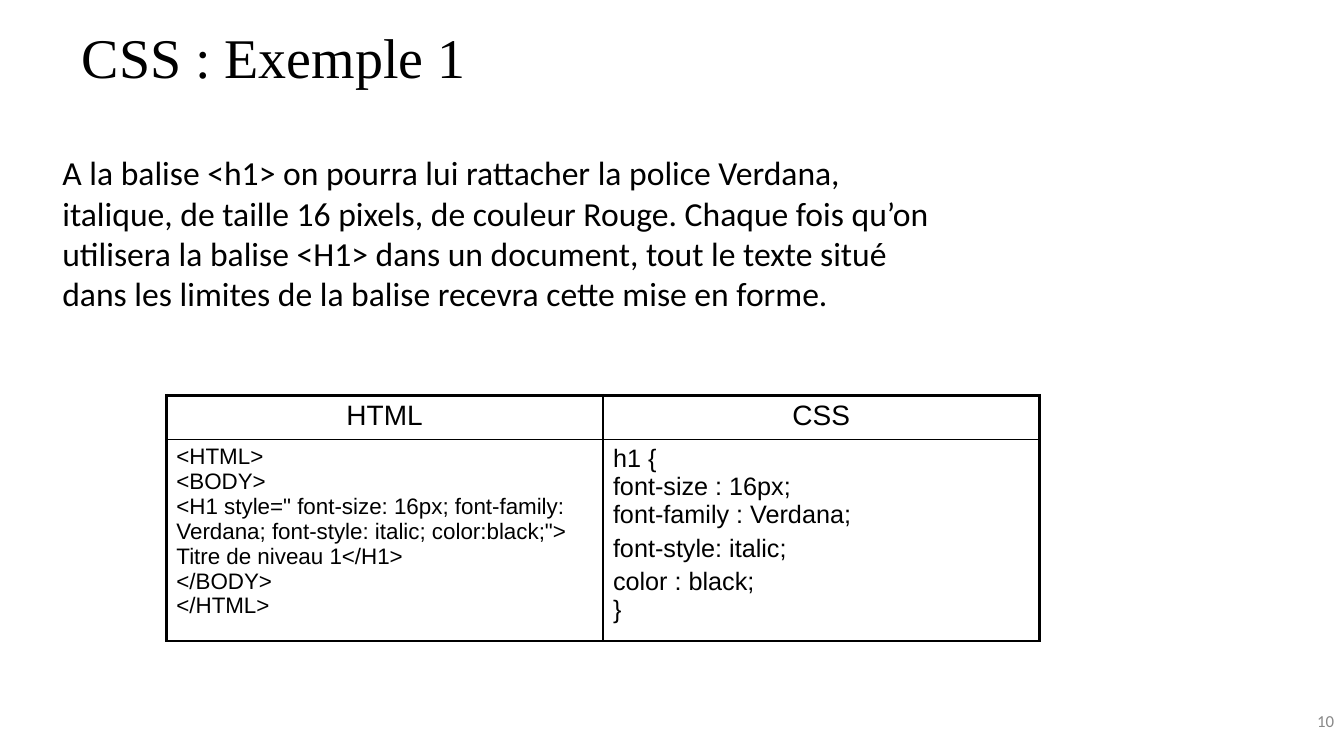
from copy import deepcopy
from dataclasses import dataclass

from lxml.etree import SubElement
from pptx import Presentation
from pptx.dml.color import RGBColor
from pptx.enum.text import MSO_ANCHOR, MSO_AUTO_SIZE, PP_ALIGN
from pptx.oxml.ns import qn
from pptx.util import Inches, Pt


@dataclass(frozen=True)
class Theme:
    black: str = "000000"
    gray: str = "888888"
    title_font: str = "Times New Roman"
    body_font: str = "Calibri"
    table_font: str = "Arial"
    title_size: int = 40
    body_size: int = 24
    header_size: int = 20
    css_size: int = 18
    html_size: int = 16
    number_size: int = 12
    outer_line: float = 2.25
    inner_line: float = 1


class SlideBuilder:
    def __init__(self, deck, theme):
        self.theme = theme
        self.slide = deck.slides.add_slide(deck.slide_layouts[5])

    def fill_text(self, frame, texts, font, size, color, align=PP_ALIGN.LEFT, gaps=()):
        """Fill a text frame; a newline inside a text is a line break."""
        font_format = {"name": font, "size": Pt(size), "bold": False}
        for index, text in enumerate(texts):
            para = frame.add_paragraph() if index else frame.paragraphs[0]
            para.text = text
            para.alignment = align
            para.space_before = Pt(gaps[index] if gaps else 0)
            for span in para.runs:
                for name, value in font_format.items():
                    setattr(span.font, name, value)
                span.font.color.rgb = RGBColor.from_string(color)
            # Line breaks take the size of the text around them
            for line_break in para._p.findall(qn("a:br")):
                line_break.append(deepcopy(para.runs[0]._r.rPr))

    def frame_text(self, box, place, texts, style, anchor=MSO_ANCHOR.TOP, top_inset=0.05):
        box.left, box.top, box.width, box.height = map(Inches, place)
        frame_format = {
            "word_wrap": True,
            "auto_size": MSO_AUTO_SIZE.NONE,
            "vertical_anchor": anchor,
            "margin_left": Inches(0.1),
            "margin_right": Inches(0.1),
            "margin_top": Inches(top_inset),
            "margin_bottom": Inches(0.05),
        }
        for name, value in frame_format.items():
            setattr(box.text_frame, name, value)
        self.fill_text(box.text_frame, texts, **style)

    def title(self, place, text):
        theme = self.theme
        style = {"font": theme.title_font, "size": theme.title_size,
                 "color": theme.black, "align": PP_ALIGN.CENTER}
        self.frame_text(self.slide.shapes.title, place, [text], style)

    def text(self, place, texts, size, color, align=PP_ALIGN.LEFT, **layout):
        box = self.slide.shapes.add_textbox(*map(Inches, place))
        style = {"font": self.theme.body_font, "size": size, "color": color, "align": align}
        self.frame_text(box, place, texts, style, **layout)

    def border(self, cell, edge, width):
        line = SubElement(cell._tc.get_or_add_tcPr(), qn(f"a:{edge}"), w=str(Pt(width)))
        fill = SubElement(line, qn("a:solidFill"))
        SubElement(fill, qn("a:srgbClr"), val=self.theme.black)

    def table(self, place, row_heights, rows):
        theme = self.theme
        row_count, column_count = len(rows), len(rows[0])
        frame = self.slide.shapes.add_table(row_count, column_count, *map(Inches, place))
        table = frame.table
        table.first_row = table.horz_banding = False
        for row, height in zip(table.rows, row_heights):
            row.height = Inches(height)
        for r, row in enumerate(rows):
            for c, content in enumerate(row):
                cell = table.cell(r, c)
                self.fill_text(cell.text_frame, font=theme.table_font, color=theme.black,
                               **content)
                # Heavy frame outside, thin lines inside
                outer = {"lnL": c == 0, "lnR": c == column_count - 1,
                         "lnT": r == 0, "lnB": r == row_count - 1}
                for edge, is_outer in outer.items():
                    self.border(cell, edge, theme.outer_line if is_outer else theme.inner_line)
                cell.fill.background()


HTML_CODE = """<HTML>
<BODY>
<H1 style=" font-size: 16px; font-family: Verdana; font-style: italic; color:black;"> Titre de niveau 1</H1>
</BODY>
</HTML>"""

CSS_CODE = [
    "h1 {\nfont-size : 16px;\nfont-family : Verdana;",
    "font-style: italic;",
    "color : black;\n}",
]

EXPLANATION = (
    "A la balise <h1> on pourra lui rattacher la police Verdana, italique, "
    "de taille 16 pixels, de couleur Rouge. Chaque fois qu’on utilisera la balise <H1> "
    "dans un document, tout le texte situé dans les limites de la balise recevra "
    "cette mise en forme."
)


def main():
    deck = Presentation()
    deck.slide_width, deck.slide_height = Inches(13.33), Inches(7.5)
    theme = Theme()
    page = SlideBuilder(deck, theme)

    # Title and explanation
    page.title((-1.74, 0.17, 8.91, 0.79), "CSS : Exemple 1")
    page.text((0.52, 0.98, 8.98, 5.88), [EXPLANATION], theme.body_size, theme.black,
              top_inset=0.53)

    # HTML and CSS side by side
    headers = [{"texts": [name], "size": theme.header_size, "align": PP_ALIGN.CENTER}
               for name in ("HTML", "CSS")]
    code = [{"texts": [HTML_CODE], "size": theme.html_size},
            {"texts": CSS_CODE, "size": theme.css_size, "gaps": (0, 3.6, 3.6)}]
    page.table((1.65, 3.92, 8.66, 2.44), (0.44, 2.0), [headers, code])

    # Page number
    page.text((11, 6.95, 2.33, 0.4), ["10"], theme.number_size, theme.gray,
              align=PP_ALIGN.RIGHT, anchor=MSO_ANCHOR.MIDDLE)

    deck.save("out.pptx")


if __name__ == "__main__":
    main()
